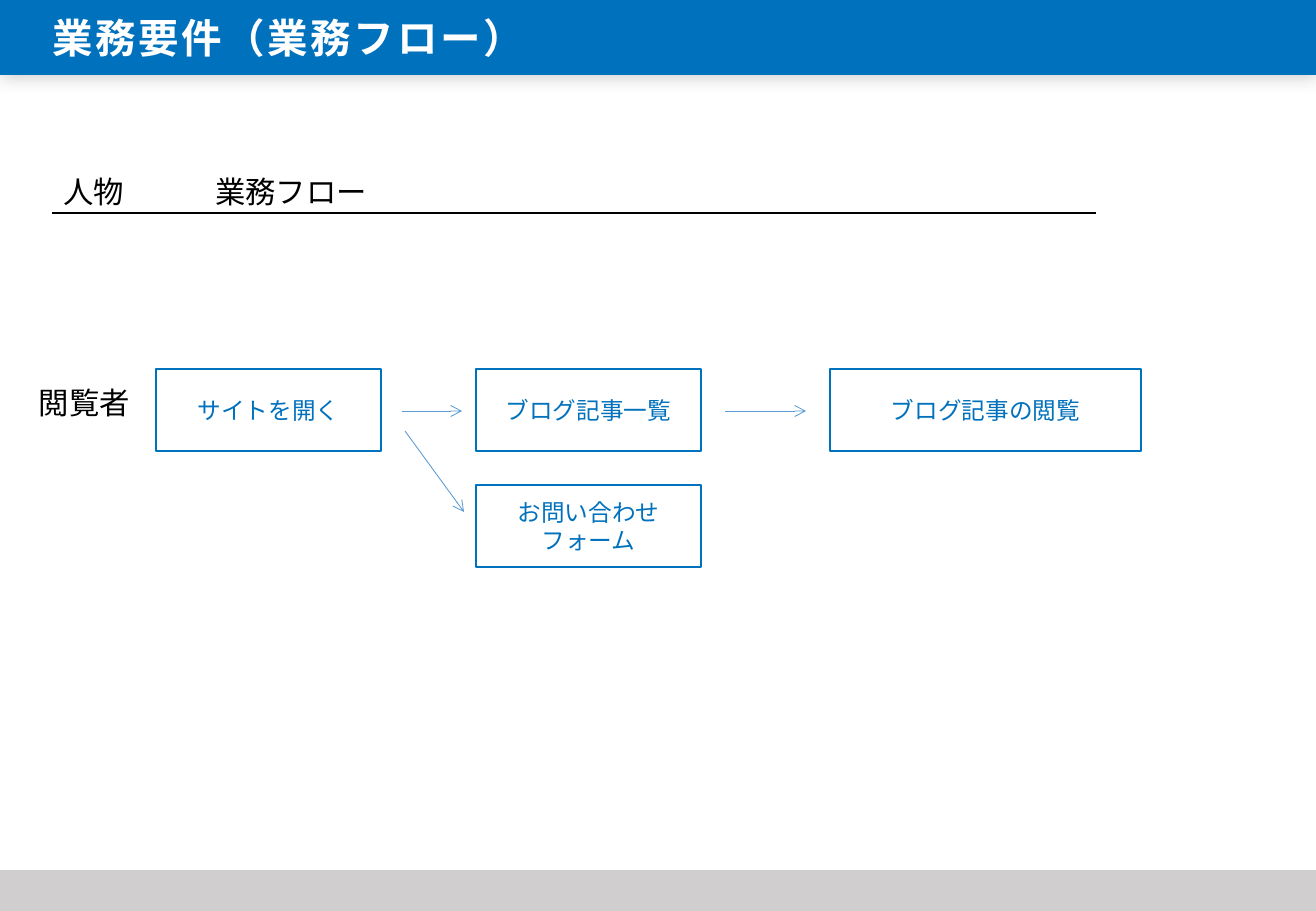
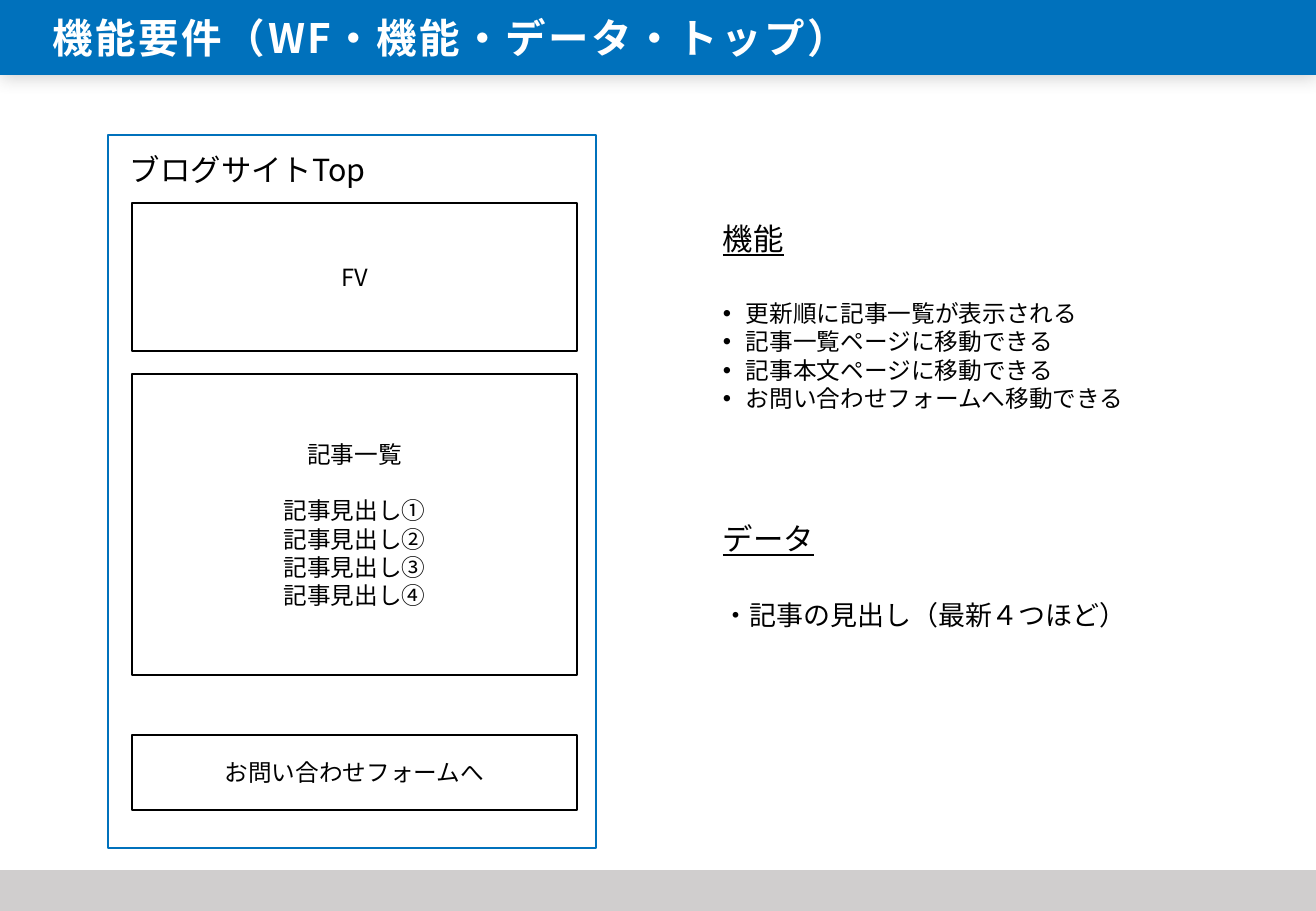
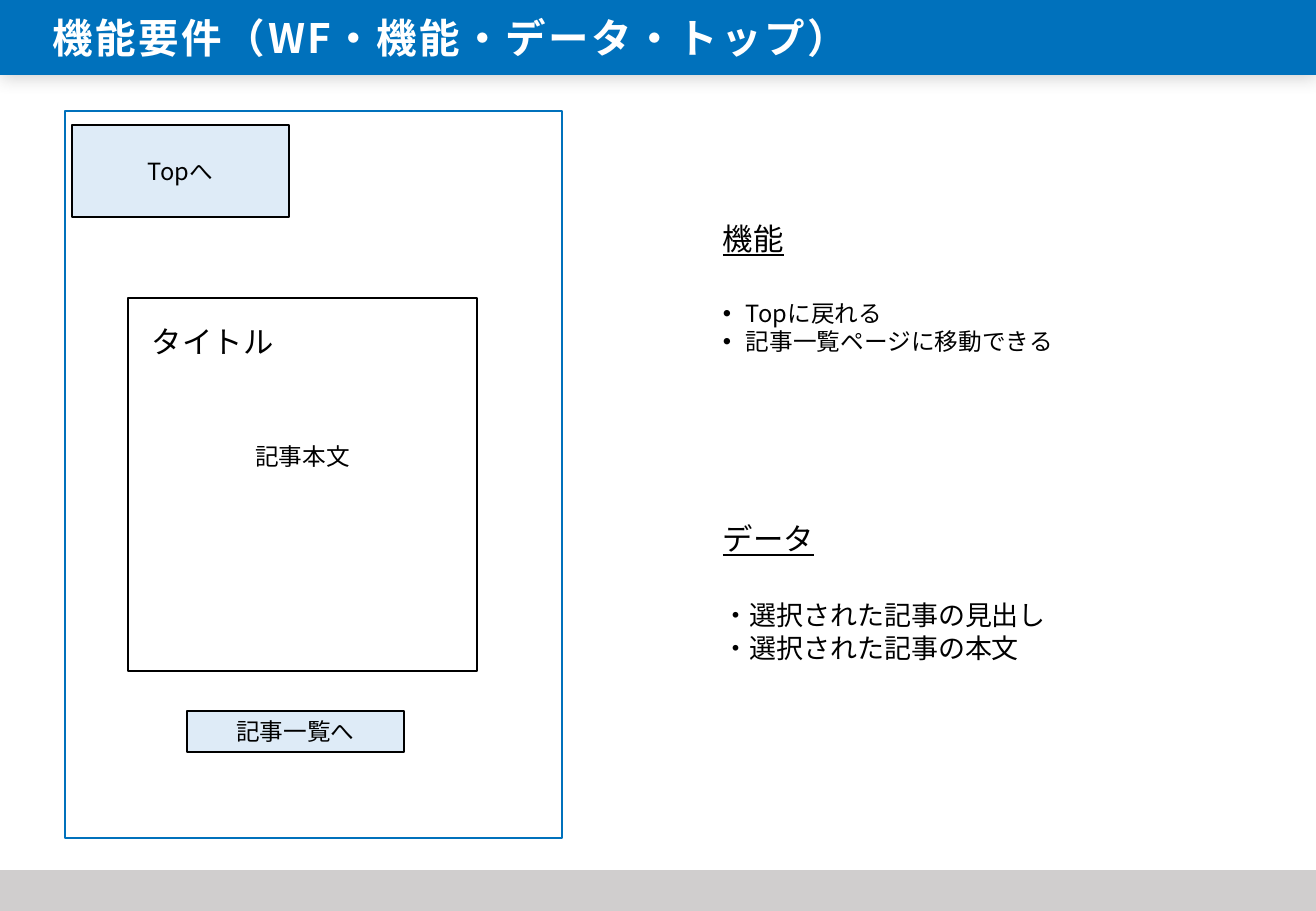
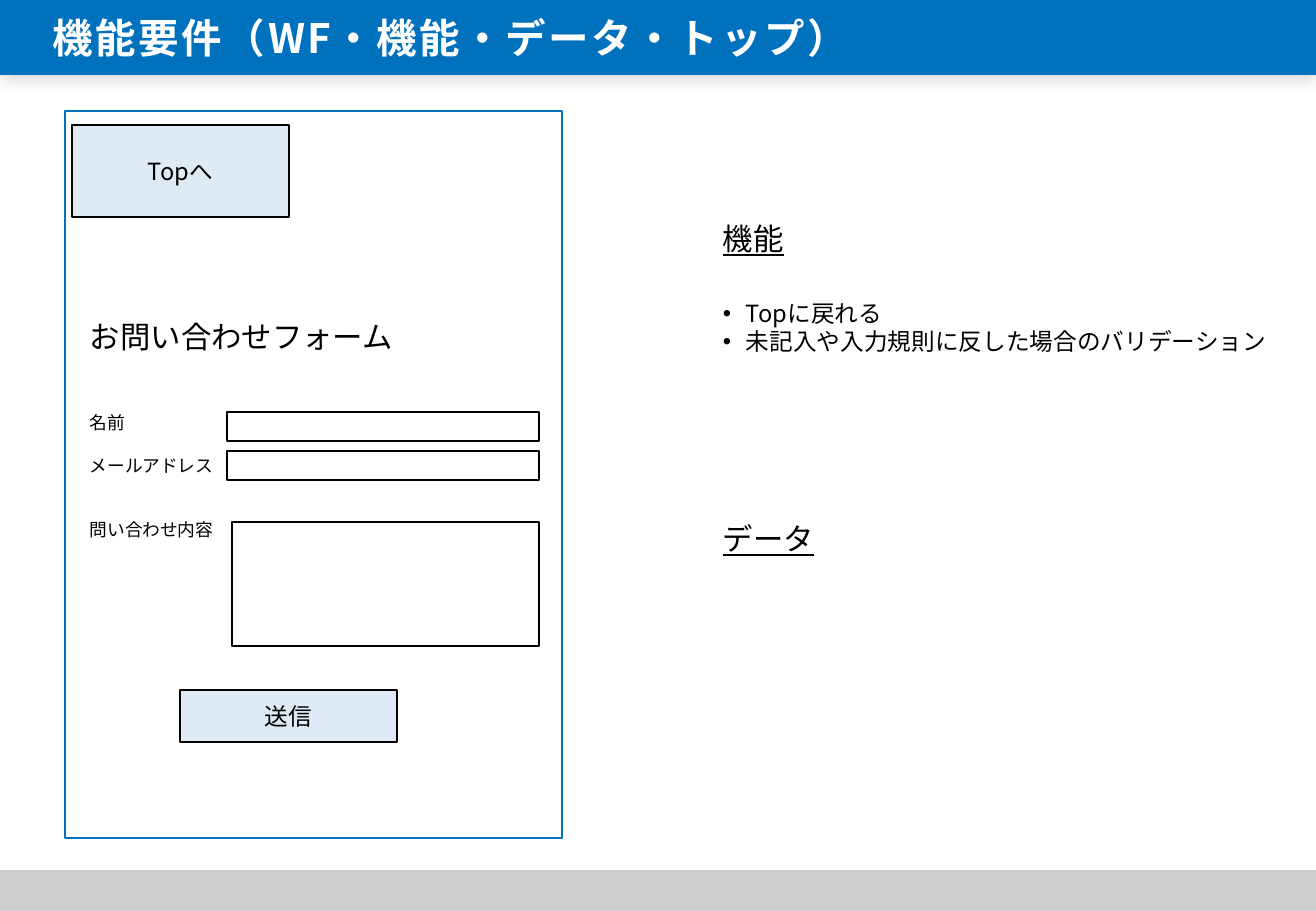
from lxml import etree
from pptx import Presentation
from pptx.dml.color import RGBColor
from pptx.enum import lang, shapes, text
from pptx.oxml.ns import qn
from pptx.util import Pt

PX = 914400 / 121.5
W, H = 1316, 911
FONT = "Noto Sans CJK JP"
C = {
    "blue": "0071BC",
    "arrow": "5B9BD5",
    "pale": "DEEBF7",
    "grey": "D0CECE",
    "shadow": "595959",
    "white": "FFFFFF",
    "black": "000000",
}


def box(s, x, y, w, h, fill=None, line=None):
    area = [round(n * PX) for n in (x, y, w, h)]
    if fill or line:
        sp = s.shapes.add_shape(shapes.MSO_SHAPE.RECTANGLE, *area)
        sp.shadow.inherit = False
        sp.fill.background()
        sp.line.fill.background()
    else:
        sp = s.shapes.add_textbox(*area)
    if fill:
        sp.fill.solid()
        sp.fill.fore_color.rgb = RGBColor.from_string(C[fill])
    if line:
        sp.line.color.rgb = RGBColor.from_string(C[line])
        sp.line.width = Pt(1)
    sp.text_frame.word_wrap = True
    return sp


def write(tf, lines, size, color="black", before=0, center=False,
          bullet=False, underline=False, title=False, font=FONT):
    for i, line in enumerate(lines):
        p = tf.add_paragraph() if tf.text else tf.paragraphs[0]
        p.alignment = text.PP_ALIGN.CENTER if center else text.PP_ALIGN.LEFT
        p.line_spacing = Pt(size * 1.2)
        if before and i == 0:
            p.space_before = Pt(before)
        if bullet:
            pPr = p._p.get_or_add_pPr()
            pPr.set("marL", str(round(23 * PX)))
            pPr.set("indent", str(round(-23 * PX)))
            etree.SubElement(pPr, qn("a:buFont")).set("typeface", "Arial")
            etree.SubElement(pPr, qn("a:buChar")).set("char", "•")
        r = p.add_run()
        r.text = line
        r.font.size = Pt(size)
        r.font.name = font
        r.font.color.rgb = RGBColor.from_string(C[color])
        r.font.language_id = lang.MSO_LANGUAGE_ID.JAPANESE
        rPr = r._r.get_or_add_rPr()
        etree.SubElement(rPr, qn("a:ea")).set("typeface", FONT)
        if underline:
            r.font.underline = True
        if title:
            r.font.bold = True
            rPr.set("spc", "150")


prs = Presentation()
prs.slide_width, prs.slide_height = round(W * PX), round(H * PX)

feature_title = "機能要件（WF・機能・データ・トップ）"
slides = []
for heading in ["業務要件（業務フロー）"] + [feature_title] * 3:
    s = prs.slides.add_slide(prs.slide_layouts[6])
    band = box(s, 0, 0, W, 75, fill="blue")
    effects = band._element.spPr.find(qn("a:effectLst"))
    shadow = etree.SubElement(effects, qn("a:outerShdw"), blurRad="127000",
                              dist="12700", dir="5400000", rotWithShape="0")
    tint = etree.SubElement(shadow, qn("a:srgbClr"), val=C["shadow"])
    etree.SubElement(tint, qn("a:alpha"), val="30000")
    write(box(s, 41, 7, 923, 61).text_frame, [heading], 24, "white", title=True)
    box(s, 0, 870, W, 41, fill="grey")
    slides.append(s)
flow, top, article, contact = slides

frame = flow.shapes.add_table(1, 1, *[round(n * PX) for n in (51, 163, 1046, 50)])
frame.table.first_row = frame.table.horz_banding = False
cell = frame.table.cell(0, 0)
tcPr = cell._tc.get_or_add_tcPr()
for side, color in [("L", "white"), ("R", "white"), ("T", "white"), ("B", "black")]:
    border = etree.SubElement(tcPr, qn("a:ln" + side), w="12700")
    paint = etree.SubElement(border, qn("a:solidFill"))
    etree.SubElement(paint, qn("a:srgbClr"), val=C[color])
cell.fill.background()
cell.margin_top, cell.margin_bottom = round(13 * PX), 0
write(cell.text_frame, ["人物\t業務フロー"], 18, font="Noto Sans")
tabs = etree.SubElement(cell.text_frame.paragraphs[0]._p.get_or_add_pPr(), qn("a:tabLst"))
etree.SubElement(tabs, qn("a:tab"), pos=str(round(152 * PX)), algn="l")

write(box(flow, 27, 378, 119, 49).text_frame, ["閲覧者"], 18)
for x, y, w, step in [
    (156, 369, 225, "サイトを開く"),
    (476, 369, 225, "ブログ記事一覧"),
    (830, 369, 311, "ブログ記事の閲覧"),
    (476, 485, 225, "お問い合わせフォーム"),
]:
    sp = box(flow, x, y, w, 82, line="blue")
    write(sp.text_frame, [step], 14, "blue", center=True)

for ends in [(402, 411, 462, 411), (725, 411, 806, 411), (405, 431, 464, 512)]:
    arrow = flow.shapes.add_connector(shapes.MSO_CONNECTOR.STRAIGHT,
                                      *[round(n * PX) for n in ends])
    arrow.line.color.rgb = RGBColor.from_string(C["arrow"])
    arrow.line.width = Pt(0.5)
    etree.SubElement(arrow.line._get_or_add_ln(), qn("a:tailEnd"), type="arrow")
    etree.SubElement(arrow._element.spPr, qn("a:effectLst"))

for s, features, data, data_w in [
    (top, ["更新順に記事一覧が表示される", "記事一覧ページに移動できる",
           "記事本文ページに移動できる", "お問い合わせフォームへ移動できる"],
     ["・記事の見出し（最新４つほど）"], 475),
    (article, ["Topに戻れる", "記事一覧ページに移動できる"],
     ["・選択された記事の見出し", "・選択された記事の本文"], 360),
    (contact, ["Topに戻れる", "未記入や入力規則に反した場合のバリデーション"], [], 125),
]:
    tf = box(s, 711, 214, 588, 93 + 28 * len(features)).text_frame
    write(tf, ["機能"], 18, underline=True)
    write(tf, features, 14, before=25.2, bullet=True)
    tf = box(s, 711, 514, data_w, 70 + 32 * len(data)).text_frame
    write(tf, ["データ"], 18, underline=True)
    write(tf, data, 16, before=25.2)

box(top, 108, 135, 488, 713, line="blue")
write(box(top, 118, 145, 275, 49).text_frame, ["ブログサイトTop"], 18)
for y, h, label, items in [
    (203, 148, "FV", []),
    (374, 301, "記事一覧", ["記事見出し" + n for n in "①②③④"]),
    (735, 75, "お問い合わせフォームへ", []),
]:
    tf = box(top, 132, y, 445, h, line="black").text_frame
    write(tf, [label], 14, center=True)
    write(tf, items, 14, before=16.8, center=True)

for s, x, y, h, label in [
    (article, 187, 711, 41, "記事一覧へ"),
    (contact, 180, 690, 52, "送信"),
]:
    box(s, 65, 111, 497, 727, line="blue")
    for left, upper, height, name in [(72, 125, 92, "Topへ"), (x, y, h, label)]:
        button = box(s, left, upper, 217, height, fill="pale", line="black")
        write(button.text_frame, [name], 14, center=True)

body = box(article, 128, 298, 349, 373, line="black").text_frame
body.margin_bottom = round(63 * PX)
write(body, ["記事本文"], 14, center=True)
write(box(article, 140, 317, 151, 49).text_frame, ["タイトル"], 18)

form = box(contact, 78, 312, 340, 322).text_frame
write(form, ["お問い合わせフォーム"], 18)
for label, before in [("名前", 34.2), ("メールアドレス", 12.6), ("問い合わせ内容", 25.2)]:
    write(form, [label], 10.5, before=before)
for x, y, h in [(227, 412, 29), (227, 451, 29), (232, 522, 124)]:
    box(contact, x, y, 539 - x, h, line="black")

prs.save("out.pptx")
